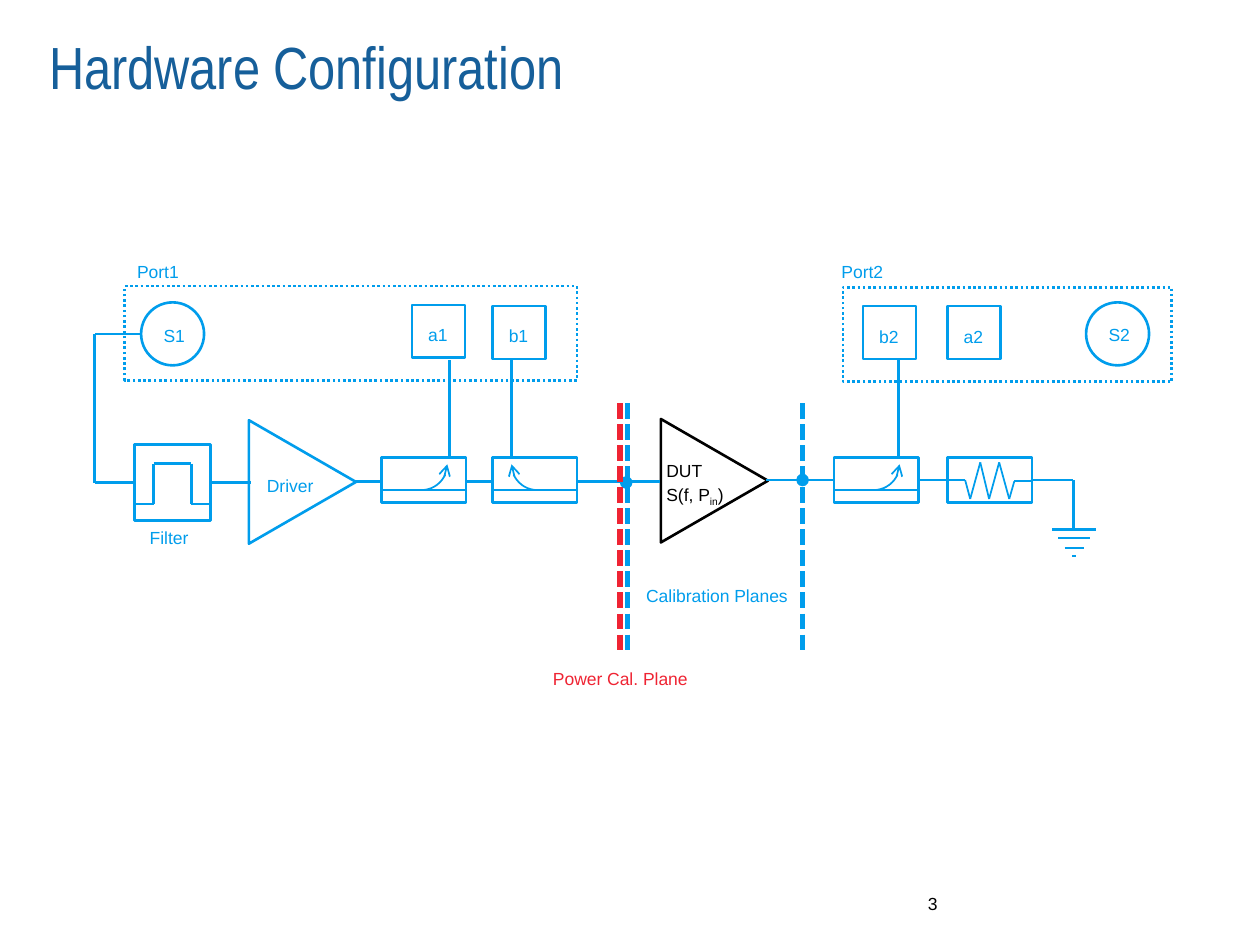
from lxml import etree
from pptx import Presentation
from pptx import util as u
from pptx.dml.color import RGBColor
from pptx.enum import dml, shapes, text
from pptx.oxml.ns import qn

COLOURS = {"blue": "009DEC", "red": "EF2433", "black": "000000", "white": "FFFFFF", "title": "165F9A"}
KINDS = shapes.MSO_SHAPE
DOTS, DASHES = dml.MSO_LINE.ROUND_DOT, dml.MSO_LINE.SQUARE_DOT

deck = Presentation()
deck.slide_width, deck.slide_height = u.Inches(10), u.Inches(7.5)
page = deck.slides.add_slide(deck.slide_layouts[6])
CELL = deck.slide_width // 1000


def cells(*counts):
    return [round(count * CELL) for count in counts]


def draw_line(item, colour, width, dash=None):
    if width:
        item.line.color.rgb = RGBColor.from_string(COLOURS[colour])
        item.line.width = u.Pt(width)
        if dash:
            item.line.dash_style = dash
    else:
        item.line.fill.background()
    properties = item._element.spPr
    etree.SubElement(properties, qn("a:effectLst"))


detectors = {"a1": (327, 242), "b1": (391, 243), "b2": (685, 243), "a2": (752, 243)}
sources = {"S1": (112, 251), "S2": (862, 250)}
couplers = [(303, 11, False), (391, 15, True), (662, 11, False)]

outlines = [
    (KINDS.ISOSCELES_TRIANGLE, (518, 339, 98, 85), "black", "white", 1.5, None),
    (KINDS.ISOSCELES_TRIANGLE, (191, 340, 98, 85), "blue", "white", 1.5, None),
    (KINDS.RECTANGLE, (99, 227, 359, 75), "blue", None, 1.5, DOTS),
    (KINDS.RECTANGLE, (669, 228, 261, 75), "blue", None, 1.5, DOTS),
    (KINDS.RECTANGLE, (107, 353, 60, 60), "blue", None, 1.5, None),
    (KINDS.OVAL, (492, 378, 10, 10), "blue", "blue", 0, None),
    (KINDS.OVAL, (632, 376, 10, 10), "blue", "blue", 0, None),
]
outlines += [(KINDS.RECTANGLE, (left, top, 42, 42), "blue", None, 1.5, None)
             for left, top in detectors.values()]
outlines += [(KINDS.OVAL, (left, 240, 50, 50), "blue", None, 1.5, None)
             for left, _ in sources.values()]
outlines += [(KINDS.RECTANGLE, (left, 363, 67, 36), "blue", None, 1.5, None)
             for left in (303, 391, 662, 752)]

for kind, place, colour, fill, width, dash in outlines:
    shape = page.shapes.add_shape(kind, *cells(*place))
    if fill:
        shape.fill.solid()
        shape.fill.fore_color.rgb = RGBColor.from_string(COLOURS[fill])
    else:
        shape.fill.background()
    draw_line(shape, colour, width, dash)
    if kind == KINDS.ISOSCELES_TRIANGLE:
        shape.rotation = 90

for left, offset, mirrored in couplers:
    arc = page.shapes.add_shape(KINDS.ARC, *cells(left + offset, 348, 41, 41))
    arc.fill.background()
    draw_line(arc, "blue", 1)
    frame = arc._element.spPr.xfrm
    frame.set("flipV", "1")
    if mirrored:
        frame.set("flipH", "1")
    etree.SubElement(arc.line._get_or_add_ln(), qn("a:tailEnd"), type="arrow")

zigzag = [(766, 381), (770, 396), (778, 367), (785, 396), (793, 367), (801, 396), (805, 382)]
wires = [
    ("blue", 1.5, None, [(112, 265), (75, 265), (75, 383), (107, 383)]),
    ("blue", 1.5, None, [(107, 400), (122, 400), (122, 368), (152, 368), (152, 400), (167, 400)]),
    ("blue", 1.5, None, [(818, 381), (852, 381), (852, 420)]),
    ("blue", 1, None, [(751, 381)] + zigzag + [(819, 382)]),
]
wires += [("blue", 1.5, None, [(start, row), (end, row)]) for start, end, row in [
    (167, 199, 383), (282, 302, 382), (371, 391, 382), (459, 524, 382),
    (608, 662, 381), (729, 752, 381)]]
wires += [("blue", 1.5, None, [(column, 286), (column, 363)]) for column in (357, 406, 713)]
wires += [("blue", 1, None, [(left, 389), (left + 67, 389)]) for left, _, _ in couplers]
wires += [("blue", width, None, [(852.5 - half, row), (852.5 + half, row)])
          for half, row, width in [(17.5, 420, 1.5), (12.5, 427, 1), (7.5, 435, 1), (1.5, 441, 1)]]
wires += [(colour, 3, DASHES, [(column, 320), (column, 519)])
          for column, colour in [(637, "blue"), (498, "blue"), (492, "red")]]

for colour, width, dash, points in wires:
    for start, end in zip(points, points[1:]):
        wire = page.shapes.add_connector(shapes.MSO_CONNECTOR.STRAIGHT, *cells(*start, *end))
        draw_line(wire, colour, width, dash)

labels = [
    ((519, 358, 81, 48), ["DUT\vS(f, P", "in", ")"], "black"),
    ((503, 457, 139, 32), ["Calibration Planes"], "blue"),
    ((429, 523, 128, 32), ["Power Cal. Plane"], "red"),
    ((99, 200, 63, 28), ["Port1"], "blue"),
    ((658, 200, 61, 28), ["Port2"], "blue"),
    ((202, 370, 58, 24), ["Driver"], "blue"),
    ((109, 411, 63, 28), ["Filter"], "blue"),
    ((39, 24, 906, 118), ["Hardware Configuration"], "title"),
    ((689, 709, 55, 20), ["3"], "black"),
]
labels += [((left + 3, 252 if name[1] == "2" else top + 8, 40, 28), [name], "blue")
           for name, (left, top) in detectors.items()]
labels += [((left + 8, top, 40, 28), [name], "blue") for name, (left, top) in sources.items()]

diagram_frame = {"word_wrap": True, "margin_right": 0, "vertical_anchor": text.MSO_ANCHOR.TOP}
bare_frame = diagram_frame | {"margin_left": 0, "margin_top": 0, "margin_bottom": 0}
diagram_para = {"line_spacing": 1.12, "space_after": u.Pt(6)}
diagram_font = {"name": "Arial", "size": u.Pt(10)}
styles = {
    "Hardware Configuration": (bare_frame, {}, {"name": "Arial Narrow", "size": u.Pt(34)}),
    "3": (bare_frame, {"alignment": text.PP_ALIGN.RIGHT}, diagram_font),
}

for place, parts, colour in labels:
    box = page.shapes.add_textbox(*cells(*place))
    para = box.text_frame.paragraphs[0]
    para.text = parts[0]
    for part in parts[1:]:
        para.add_run().text = part
    frame_format, para_format, font_format = styles.get(
        parts[0], (diagram_frame, diagram_para, diagram_font))
    targets = [(box.text_frame, frame_format), (para, para_format)]
    targets += [(span.font, font_format) for span in para.runs]
    for target, values in targets:
        for name, value in values.items():
            setattr(target, name, value)
    for span in para.runs:
        span.font.color.rgb = RGBColor.from_string(COLOURS[colour])
        if span.text == "in":
            span._r.get_or_add_rPr().set("baseline", "-25000")
    for line_break in para._p.findall(qn("a:br")):
        etree.SubElement(line_break, qn("a:rPr"), sz="1000")

deck.save("out.pptx")
